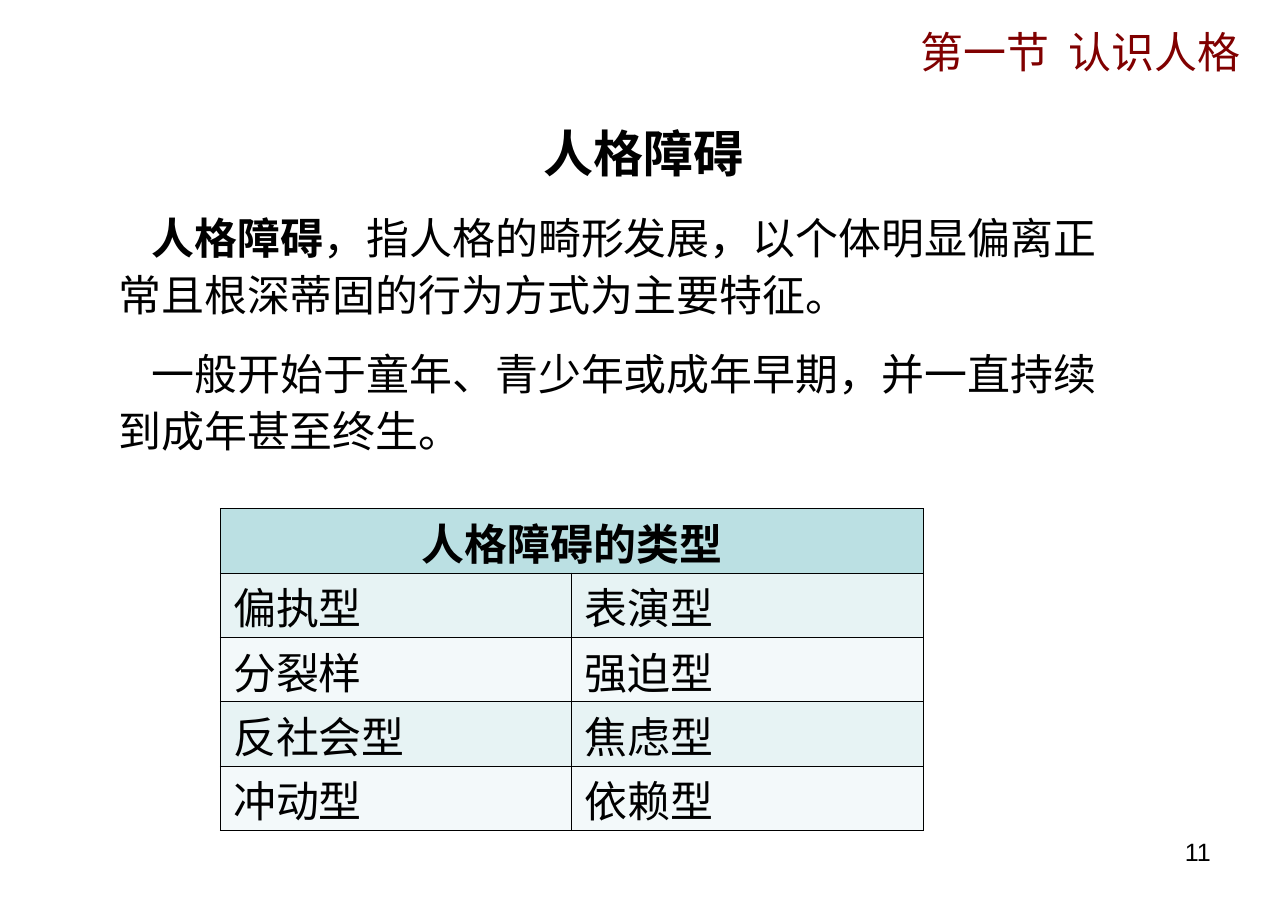
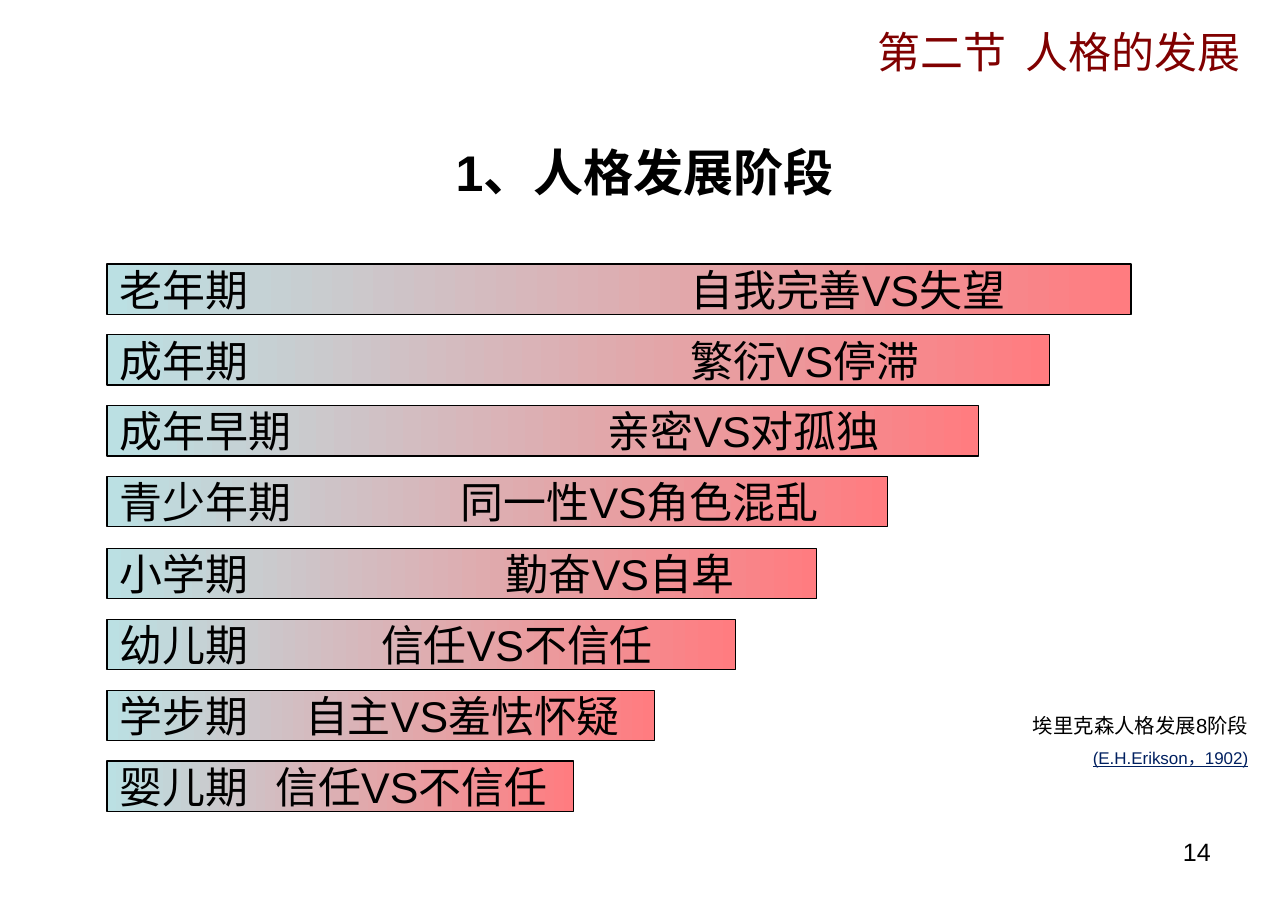
from dataclasses import dataclass

from lxml import etree
from pptx import Presentation
from pptx import util as u
from pptx.dml.color import RGBColor
from pptx.enum import shapes, text
from pptx.oxml import ns

PX = 9144  # 100 px to the inch
LEFT, MID, RIGHT = text.PP_ALIGN.LEFT, text.PP_ALIGN.CENTER, text.PP_ALIGN.RIGHT


@dataclass(frozen=True)
class Theme:
    face: str = "Arial"
    hanzi: str = "Noto Sans CJK SC"
    ink: str = "000000"
    wine: str = "800000"
    navy: str = "002060"
    teal: str = "BBE0E3"
    coral: str = "FF7C80"
    bands: tuple = ("E7F3F4", "F3F9FA")
    title: float = 28
    body: float = 24
    page: float = 14
    note: float = 11.4
    cite: float = 9.5
    edge: float = 0.75
    grid: float = 0.45


T = Theme()

TYPES = [("偏执型", "表演型"), ("分裂样", "强迫型"),
         ("反社会型", "焦虑型"), ("冲动型", "依赖型")]

# stage, conflict, bar width, offset of the conflict
STAGES = [
    ("老年期", "自我完善VS失望", 795, 443),
    ("成年期", "繁衍VS停滞", 732, 443),
    ("成年早期", "亲密VS对孤独", 677, 379),
    ("青少年期", "同一性VS角色混乱", 606, 265),
    ("小学期", "勤奋VS自卑", 551, 300),
    ("幼儿期", "信任VS不信任", 488, 203),
    ("学步期", "自主VS羞怯怀疑", 425, 144),
    ("婴儿期", "信任VS不信任", 362, 121),
]


def px(*sizes):
    return [u.Emu(round(size) * PX) for size in sizes]


def rgb(code):
    return RGBColor.from_string(code)


def node(up, tag, **attrs):
    return etree.SubElement(up, ns.qn(tag), attrs)


def style(para, size, color=T.ink, bold=False, face=T.face, align=LEFT, line=None):
    """Format a paragraph and its runs; line is a fixed height in points."""
    para.alignment = align
    if line:
        para.line_spacing = u.Pt(line)
    for run in para.runs:
        font = run.font
        font.size, font.bold = u.Pt(size), bold
        font.color.rgb = rgb(color)
        font.name = face
        node(run._r.get_or_add_rPr(), "a:ea", typeface=T.hanzi)


def write(slide, box, words, anchor=text.MSO_ANCHOR.TOP):
    """Add a text box and return its paragraphs."""
    frame = slide.shapes.add_textbox(*px(*box)).text_frame
    frame.word_wrap = True
    frame.vertical_anchor = anchor
    frame.text = words
    return frame.paragraphs


def base(deck, label, number):
    """Add a blank slide with section label and page number."""
    slide = deck.slides.add_slide(deck.slide_layouts[6])
    para, = write(slide, (335, 16, 638, 47), label)
    style(para, T.body, T.wine, face=T.hanzi, align=RIGHT, line=28)
    para, = write(slide, (717, 645, 233, 49), str(number))
    style(para, T.page, align=RIGHT)
    return slide


def title(slide, box, words):
    para, = write(slide, box, words, text.MSO_ANCHOR.MIDDLE)
    style(para, T.title, bold=True, align=MID)


def prose(slide, box):
    first, last = write(
        slide, box,
        "人格障碍，指人格的畸形发展，以个体明显偏离正常且根深蒂固的行为方式为主要特征。\n"
        "一般开始于童年、青少年或成年早期，并一直持续到成年甚至终生。")
    term = "人格障碍"
    rest = first.text[len(term):]
    first.runs[0].text = term
    first.add_run().text = rest
    last.space_before = u.Pt(12)
    for para in (first, last):
        para._p.get_or_add_pPr().set("indent", str(26 * PX))
        style(para, T.body, line=32)
    first.runs[0].font.bold = True


def border(cell):
    props = cell._tc.get_or_add_tcPr()
    for spot, side in enumerate("LRTB"):
        line = etree.Element(ns.qn("a:ln" + side), w=str(u.Pt(T.grid)))
        node(node(line, "a:solidFill"), "a:srgbClr", val=T.ink)
        props.insert(spot, line)


def fill(cell, words, color, **look):
    cell.text = words
    cell.margin_top, cell.margin_bottom = px(11, 0)
    cell.fill.solid()
    cell.fill.fore_color.rgb = rgb(color)
    style(cell.text_frame.paragraphs[0], T.body, line=28, **look)


def grid(slide, box, head, rows):
    table = slide.shapes.add_table(len(rows) + 1, 2, *px(*box)).table
    table.first_row = table.horz_banding = False
    table.cell(0, 0).merge(table.cell(0, 1))
    fill(table.cell(0, 0), head, T.teal, bold=True, align=MID)
    for row, pair in enumerate(rows):
        for col, words in enumerate(pair):
            fill(table.cell(row + 1, col), words, T.bands[row % 2])
    for cell in table.iter_cells():
        border(cell)


def bar(slide, box, stage, clash, stop):
    """Draw one stage; a tab stop places the conflict."""
    shape = slide.shapes.add_shape(
        shapes.MSO_SHAPE.FLOWCHART_PROCESS, *px(*box))
    shape.shadow.inherit = False
    shape.fill.gradient()
    shape.fill.gradient_angle = 0
    for mark, color, spot in zip(shape.fill.gradient_stops, (T.teal, T.coral), (0, 1)):
        mark.color.rgb, mark.position = rgb(color), spot
    shape.line.color.rgb = rgb(T.ink)
    shape.line.width = u.Pt(T.edge)
    frame = shape.text_frame
    frame.word_wrap = True
    frame.vertical_anchor = text.MSO_ANCHOR.MIDDLE
    frame.margin_right = frame.margin_top = frame.margin_bottom = 0
    frame.text = f"{stage}\t{clash}"
    para = frame.paragraphs[0]
    tabs = node(para._p.get_or_add_pPr(), "a:tabLst")
    node(tabs, "a:tab", pos=str(stop * PX), algn="l")
    style(para, T.body)


def stairs(slide, box):
    """Spread the stage bars evenly down the box."""
    left, top, _, high = box
    thick = 39
    step = (high - thick) / (len(STAGES) - 1)
    for row, (stage, clash, wide, stop) in enumerate(STAGES):
        bar(slide, (left, top + row * step, wide, thick), stage, clash, stop)


def source(slide, box):
    note, cite = write(slide, box, "埃里克森人格发展8阶段\n(E.H.Erikson，1902)")
    style(note, T.note, align=RIGHT, line=15)
    style(cite, T.cite, T.navy, align=RIGHT, line=12)
    cite.space_before = u.Pt(5)
    cite.runs[0].font.underline = True


def disorder(deck):
    slide = base(deck, "第一节  认识人格", 11)
    title(slide, (50, 84, 900, 68), "人格障碍")
    prose(slide, (82, 155, 783, 203))
    grid(slide, (171, 395, 546, 250), "人格障碍的类型", TYPES)


def growth(deck):
    slide = base(deck, "第二节  人格的发展", 14)
    title(slide, (51, 102, 899, 63), "1、人格发展阶段")
    source(slide, (536, 547, 443, 50))
    stairs(slide, (83, 205, 795, 425))


def main():
    deck = Presentation()
    deck.slide_width, deck.slide_height = px(1000, 709)
    disorder(deck)
    growth(deck)
    deck.save("out.pptx")


if __name__ == "__main__":
    main()
